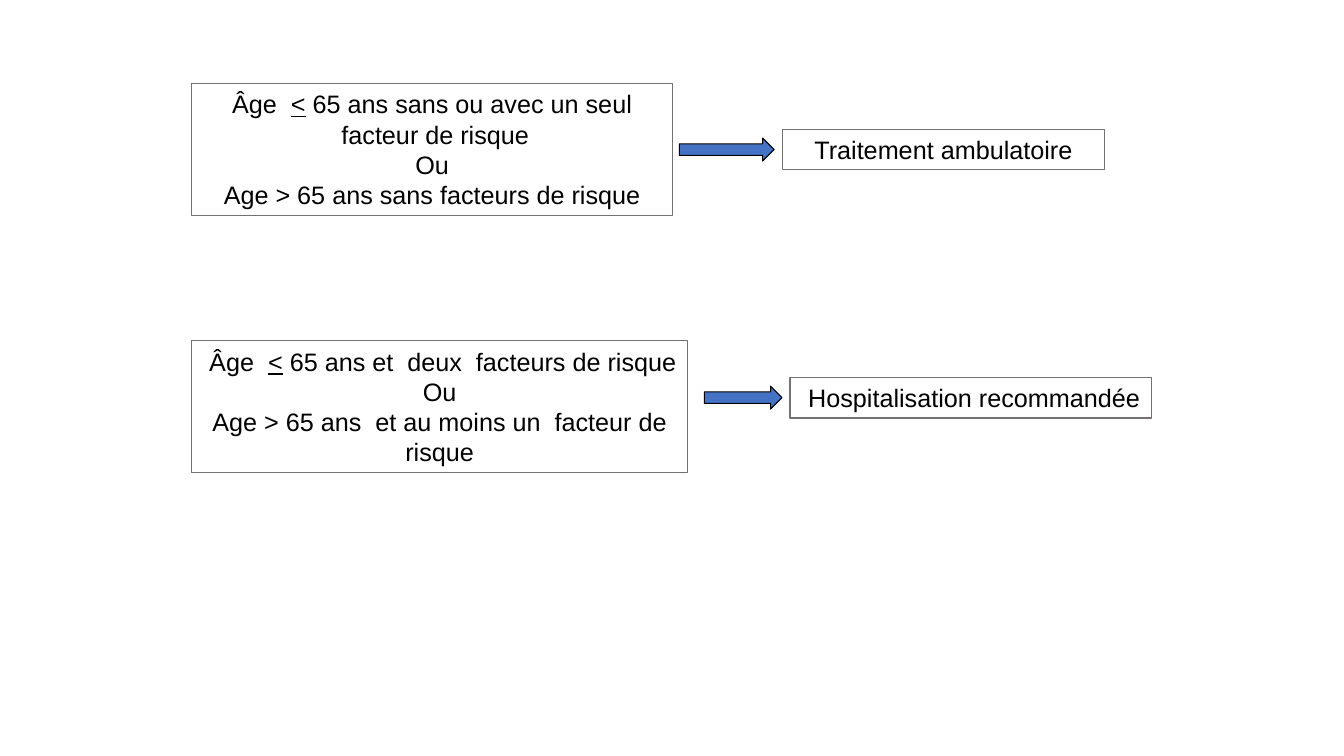
from pptx import Presentation
from pptx.dml.color import RGBColor
from pptx.enum.shapes import MSO_SHAPE as Preset
from pptx.enum.text import MSO_ANCHOR as Anchor, MSO_AUTO_SIZE as AutoSize, PP_ALIGN as Align
from pptx.util import Cm, Pt

COLORS = {"frame": "767171", "text": "000000", "arrow": "4472C4", "outline": "000000"}


def add_span(para, text, size=18, font="Arial", color="text", underline=None):
    span = para.add_run()
    span.text = text
    span.font.size = Pt(size)
    span.font.name = font
    span.font.color.rgb = RGBColor.from_string(COLORS[color])
    span.font.underline = underline


class Flow:
    box_left = 4.83
    box_height = 3.33
    result_height = 1.03
    arrow_height = 0.58

    def __init__(self, page):
        self.page = page

    def add_shape(self, preset, left, top, width, height, line, fill=None):
        shape = self.page.shapes.add_shape(preset, Cm(left), Cm(top), Cm(width), Cm(height))
        shape.shadow.inherit = False
        shape.line.color.rgb = RGBColor.from_string(COLORS[line])
        shape.line.width = Pt(0.75)
        if fill:
            shape.fill.solid()
            shape.fill.fore_color.rgb = RGBColor.from_string(COLORS[fill])
        else:
            shape.fill.background()
        return shape

    def add_text_box(self, left, top, width, height, paragraphs):
        box = self.add_shape(Preset.RECTANGLE, left, top, width, height, "frame")
        frame = box.text_frame
        frame.word_wrap = True
        frame.auto_size = AutoSize.SHAPE_TO_FIT_TEXT
        frame.vertical_anchor = Anchor.TOP
        for index, spans in enumerate(paragraphs):
            para = frame.add_paragraph() if index else frame.paragraphs[0]
            para.alignment = Align.CENTER
            para._p.get_or_add_pPr().set("rtl", "1")
            for text in spans:
                add_span(para, text, underline=text == "<")

    def add_criteria(self, top, width, younger, older):
        paragraphs = [["Âge  ", "<", younger], ["Ou"], [older]]
        self.add_text_box(self.box_left, top, width, self.box_height, paragraphs)

    def add_result(self, left, axis, width, text):
        height = self.result_height
        self.add_text_box(left, axis - height / 2, width, height, [[text]])

    def add_arrow(self, left, axis, width):
        height = self.arrow_height
        self.add_shape(Preset.RIGHT_ARROW, left, axis - height / 2, width, height,
                       "outline", "arrow")


def main():
    deck = Presentation()
    deck.slide_width = Cm(33.87)
    deck.slide_height = Cm(19.05)
    flow = Flow(deck.slides.add_slide(deck.slide_layouts[6]))

    flow.add_criteria(2.11, 12.12, " 65 ans sans ou avec un seul facteur de risque ",
                      "Age > 65 ans sans facteurs de risque")
    flow.add_arrow(17.12, 3.77, 2.39)
    flow.add_result(19.71, 3.77, 8.13, "Traitement ambulatoire")

    flow.add_criteria(8.59, 12.5, " 65 ans et  deux  facteurs de risque ",
                      "Age > 65 ans  et au moins un  facteur de risque")
    flow.add_arrow(17.75, 10.02, 1.96)
    flow.add_result(19.91, 10.02, 9.12, "Hospitalisation recommandée ")

    deck.save("out.pptx")


if __name__ == "__main__":
    main()
